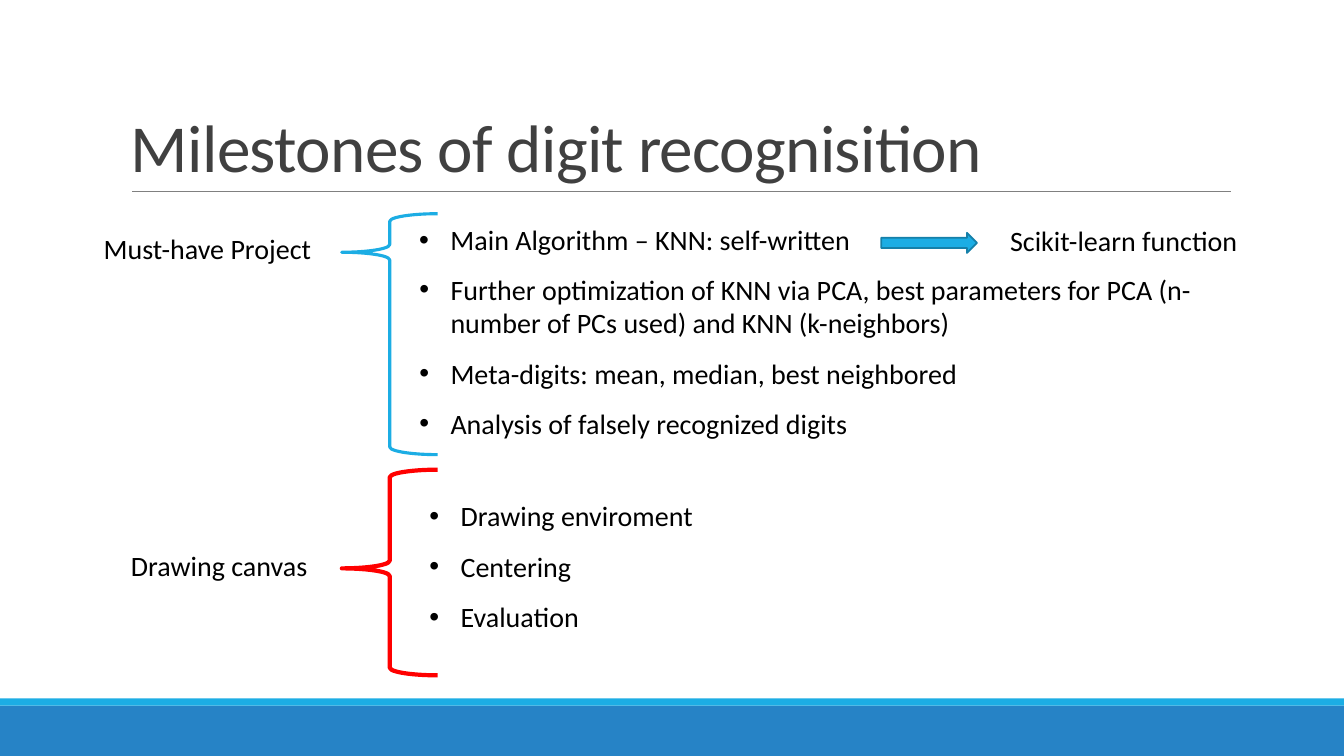
"""Builds the slide on the milestones of digit recognition."""
from lxml import etree
from pptx import Presentation
from pptx.dml.color import RGBColor
from pptx.enum import shapes, text
from pptx.oxml.ns import qn
from pptx.util import Inches, Pt

THEME = {
    "font": "Calibri", "head": 48, "body": 20, "gap": 12,
    "ink": "000000", "title": "404040", "rule": "808080",
    "blue": "2683C6", "cyan": "1CADE4", "edge": "1580A9", "red": "FF0000",
}
WIDE, HIGH = 13.33, 7.5
INDENT = 0.31

TITLE = ("Milestones of digit recognisition", (1.2, 0.31, 11, 1.59))
RULE = (1.31, 1.9, 12.21, 1.9)
LABELS = [
    ("Must-have Project", (0.93, 2.25, 2.46, 0.44)),
    ("Drawing canvas", (1.2, 5.39, 2.1, 0.44)),
    ("Scikit-learn function", (9.92, 2.17, 2.76, 0.44)),
]
LISTS = [
    (["Main Algorithm – KNN: self-written"], (4.06, 2.16, 4.63, 0.44)),
    (["Further optimization of KNN via PCA, best parameters for PCA "
      "(n-number of PCs used) and KNN (k-neighbors)",
      "Meta-digits: mean, median, best neighbored",
      "Analysis of falsely recognized digits"], (4.06, 2.65, 8.05, 2.26)),
    (["Drawing enviroment", "Centering", "Evaluation"],
     (4.16, 4.9, 3.29, 1.45)),
]
KIND = shapes.MSO_SHAPE
SHAPES = [
    (KIND.RECTANGLE, (0, 7, WIDE, 0.5), "blue", None, 0, ()),
    (KIND.RECTANGLE, (0, 6.93, WIDE, 0.07), "cyan", None, 0, ()),
    (KIND.LEFT_BRACE, (3.39, 2.12, 0.95, 2.39), None, "cyan", 2.25, (0.08, 0.16)),
    (KIND.LEFT_BRACE, (3.39, 4.66, 0.95, 2.04), None, "red", 3, (0.08, 0.48)),
    (KIND.RIGHT_ARROW, (8.74, 2.31, 0.95, 0.2), "cyan", "edge", 1.25, ()),
]


def tint(name):
    return RGBColor.from_string(THEME[name])


def place(box):
    return [Inches(n) for n in box]


def apply(item, form):
    for key, val in form.items():
        setattr(item, key, val)


def stroke(line, hue, width):
    line.color.rgb = tint(hue)
    line.width = Pt(width)


def draw(slide, kind, box, fill, hue, width, bends):
    item = slide.shapes.add_shape(kind, *place(box))
    item.shadow.inherit = False
    for i, bend in enumerate(bends):
        item.adjustments[i] = bend
    if fill:
        item.fill.solid()
        item.fill.fore_color.rgb = tint(fill)
    else:
        item.fill.background()
    if hue:
        stroke(item.line, hue, width)
    else:
        item.line.fill.background()


def bullet(para):
    props = para._p.get_or_add_pPr()
    props.set("marL", str(Inches(INDENT)))
    props.set("indent", str(-Inches(INDENT)))
    font = etree.SubElement(props, qn("a:buFont"))
    font.set("typeface", "Arial")
    etree.SubElement(props, qn("a:buChar")).set("char", "•")


def write(slide, lines, box, size="body", hue="ink", anchor="TOP", form=None):
    frame = slide.shapes.add_textbox(*place(box)).text_frame
    apply(frame, {"word_wrap": True,
                  "vertical_anchor": getattr(text.MSO_ANCHOR, anchor)})
    paras = []
    for i, line in enumerate(lines):
        para = frame.add_paragraph() if i else frame.paragraphs[0]
        apply(para, form or {})
        run = para.add_run()
        run.text = line
        apply(run.font, {"name": THEME["font"], "size": Pt(THEME[size])})
        run.font.color.rgb = tint(hue)
        paras.append(para)
    return paras


def main():
    deck = Presentation()
    apply(deck, {"slide_width": Inches(WIDE), "slide_height": Inches(HIGH)})
    slide = deck.slides.add_slide(deck.slide_layouts[6])

    for row in SHAPES:
        draw(slide, *row)
    rule = slide.shapes.add_connector(shapes.MSO_CONNECTOR.STRAIGHT, *place(RULE))
    stroke(rule.line, "rule", 0.5)
    etree.SubElement(rule._element.spPr, qn("a:effectLst"))

    head, box = TITLE
    para, = write(slide, [head], box, "head", "title", "BOTTOM",
                  {"line_spacing": 0.85})
    para.runs[0].font._element.set("spc", "-50")

    for label, box in LABELS:
        write(slide, [label], box)
    for lines, box in LISTS:
        for para in write(slide, lines, box,
                          form={"space_after": Pt(THEME["gap"])}):
            bullet(para)
    deck.save("out.pptx")


if __name__ == "__main__":
    main()
